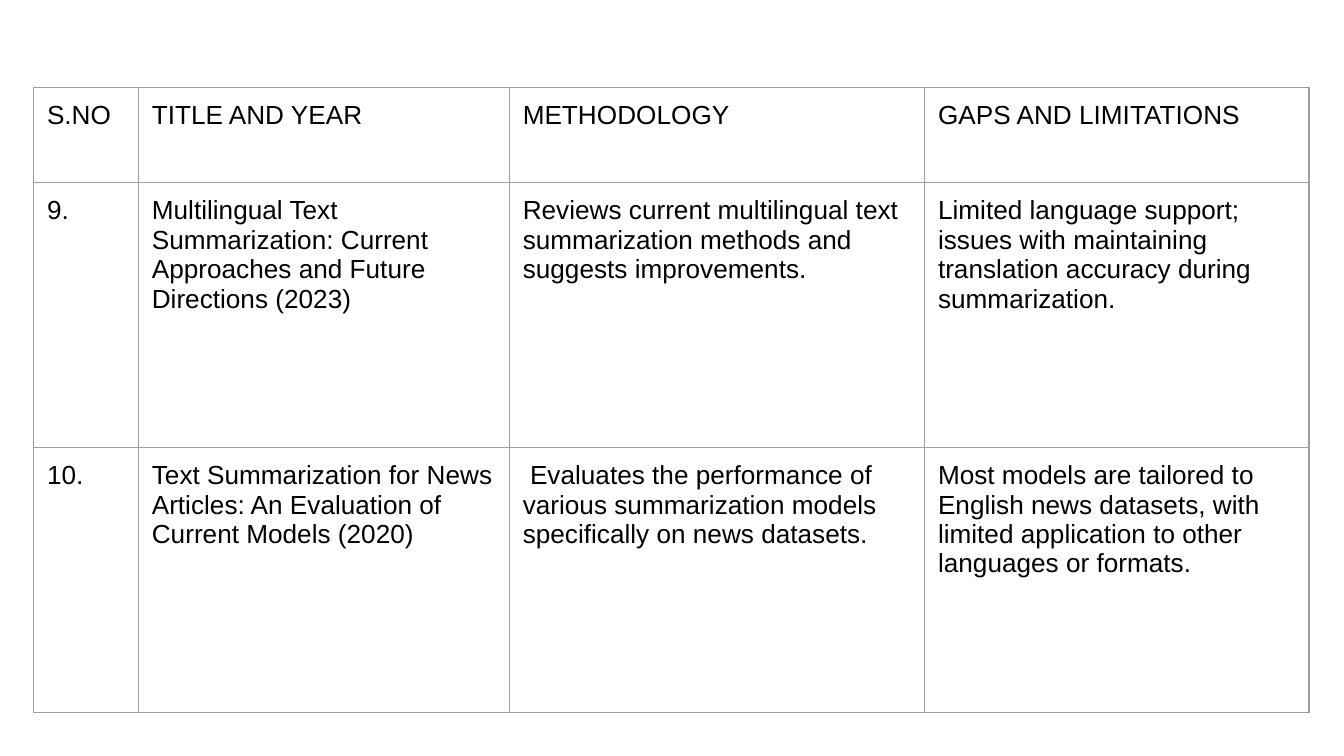
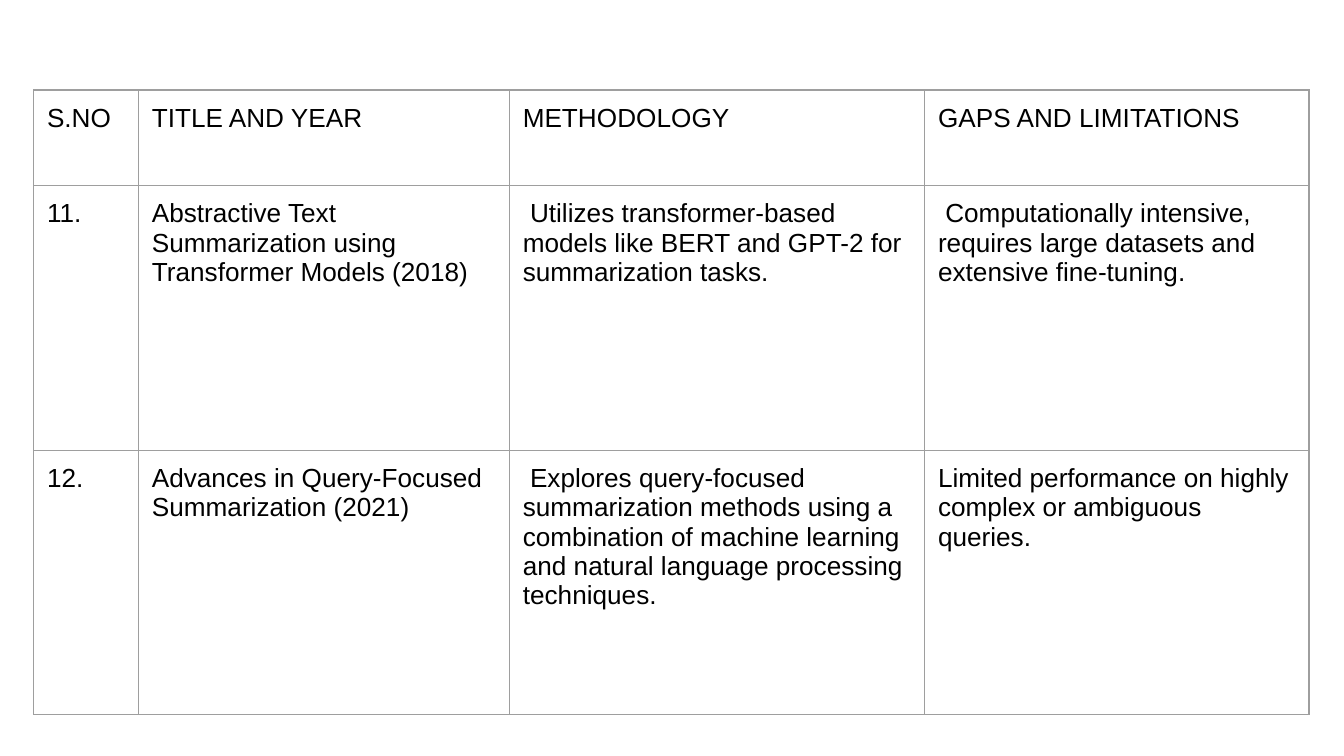
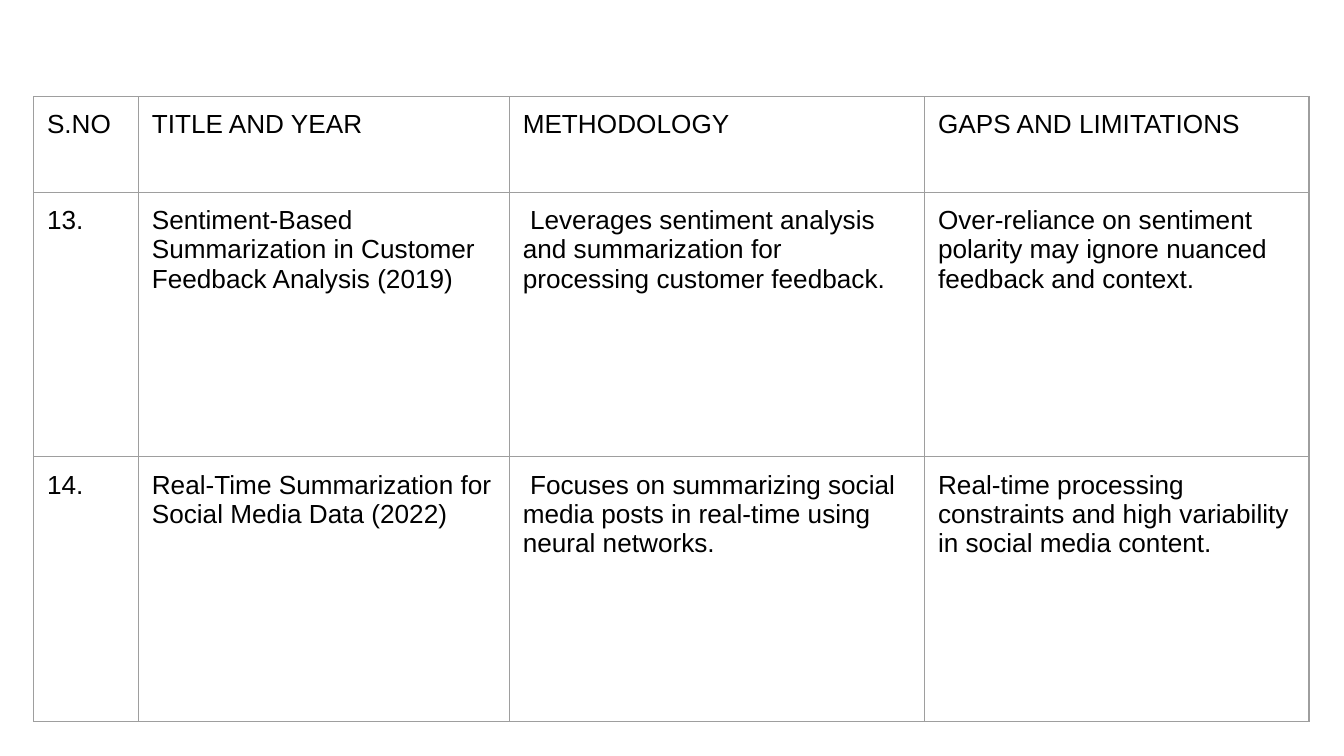
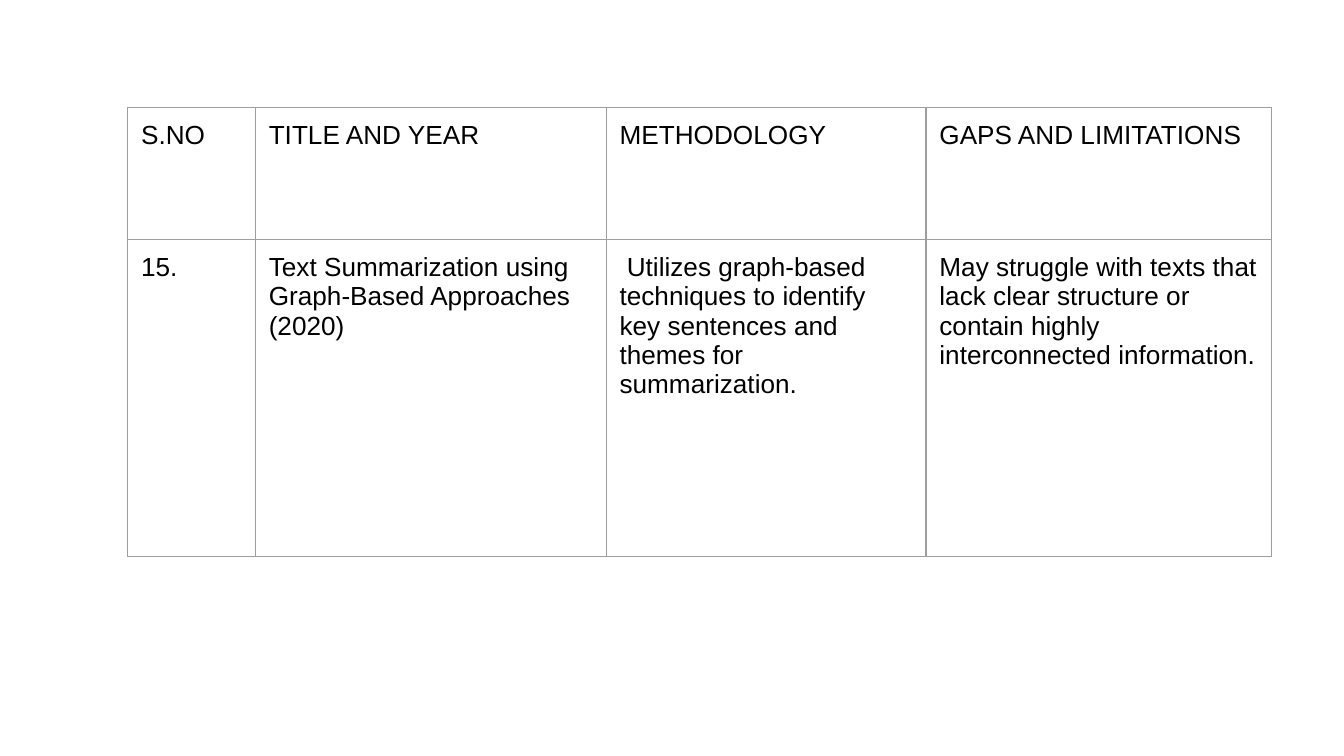
"""Build four slides of a literature survey on text summarization."""
from dataclasses import dataclass

from lxml.etree import SubElement
from pptx import Presentation
from pptx.dml.color import RGBColor
from pptx.oxml.ns import qn
from pptx.util import Inches, Pt


@dataclass(frozen=True)
class Theme:
    font: str = "Arial"
    size: float = 14
    ink: str = "000000"
    paper: str = "FFFFFF"
    rule: str = "9E9E9E"
    weight: float = 0.75
    inset: float = 0.1


HEADS = ("S.NO", "TITLE AND YEAR", "METHODOLOGY", "GAPS AND LIMITATIONS")
WIDE = (0.78, 2.76, 3.09, 2.86)
SLIM = (0.95, 2.61, 2.38, 2.57)
TALL = (0.71, 1.97)
SHORT = (0.98, 2.36)

PAGES = (
    (0.25, 0.65, WIDE, TALL, (
        ("9.",
         "Multilingual Text Summarization: Current Approaches and Future Directions (2023)",
         "Reviews current multilingual text summarization methods and suggests improvements.",
         "Limited language support; issues with maintaining translation accuracy during summarization."),
        ("10.",
         "Text Summarization for News Articles: An Evaluation of Current Models (2020)",
         " Evaluates the performance of various summarization models specifically on news datasets.",
         "Most models are tailored to English news datasets, with limited application to other languages or formats."),
    )),
    (0.25, 0.67, WIDE, TALL, (
        ("11.",
         "Abstractive Text Summarization using Transformer Models (2018)",
         " Utilizes transformer-based models like BERT and GPT-2 for summarization tasks.",
         " Computationally intensive, requires large datasets and extensive fine-tuning."),
        ("12.",
         "Advances in Query-Focused Summarization (2021)",
         " Explores query-focused summarization methods using a combination of machine learning "
         "and natural language processing techniques.",
         "Limited performance on highly complex or ambiguous queries."),
    )),
    (0.25, 0.72, WIDE, TALL, (
        ("13.",
         "Sentiment-Based Summarization in Customer Feedback Analysis (2019)",
         " Leverages sentiment analysis and summarization for processing customer feedback.",
         "Over-reliance on sentiment polarity may ignore nuanced feedback and context."),
        ("14.",
         "Real-Time Summarization for Social Media Data (2022)",
         " Focuses on summarizing social media posts in real-time using neural networks.",
         "Real-time processing constraints and high variability in social media content."),
    )),
    (0.95, 0.8, SLIM, SHORT, (
        ("15.",
         "Text Summarization using Graph-Based Approaches (2020)",
         " Utilizes graph-based techniques to identify key sentences and themes for summarization.",
         "May struggle with texts that lack clear structure or contain highly interconnected information."),
    )),
)


class Deck:
    def __init__(self, theme):
        self.theme = theme
        self.show = Presentation()
        self.show.slide_width = Inches(10)
        self.show.slide_height = Inches(10 * 9 / 16)
        self.slide = None

    def page(self):
        self.slide = self.show.slides.add_slide(self.show.slide_layouts[6])
        fill = self.slide.background.fill
        fill.solid()
        fill.fore_color.rgb = RGBColor.from_string(self.theme.paper)

    def table(self, left, top, widths, heights, papers):
        rows = (HEADS, *papers)
        head, body = heights
        highs = [head] + [body] * len(papers)
        grid = self.slide.shapes.add_table(
            len(rows), len(widths), Inches(left), Inches(top),
            Inches(sum(widths)), Inches(sum(highs))).table
        grid.first_row = grid.horz_banding = False
        for column, width in zip(grid.columns, widths):
            column.width = Inches(width)
        for line, high, texts in zip(grid.rows, highs, rows):
            line.height = Inches(high)
            for cell, text in zip(line.cells, texts):
                self.cell(cell, text)

    def cell(self, cell, text):
        self.edges(cell)
        cell.fill.background()
        inset = Inches(self.theme.inset)
        cell.margin_left = cell.margin_right = inset
        cell.margin_top = cell.margin_bottom = inset
        cell.text_frame.text = text
        font = cell.text_frame.paragraphs[0].runs[0].font
        font.name = self.theme.font
        font.size = Pt(self.theme.size)
        font.color.rgb = RGBColor.from_string(self.theme.ink)

    def edges(self, cell):
        props = cell._tc.get_or_add_tcPr()
        for side in "LRTB":
            edge = SubElement(props, qn(f"a:ln{side}"), w=str(Pt(self.theme.weight)))
            fill = SubElement(edge, qn("a:solidFill"))
            SubElement(fill, qn("a:srgbClr"), val=self.theme.rule)


def main():
    deck = Deck(Theme())
    for left, top, widths, heights, papers in PAGES:
        deck.page()
        deck.table(left, top, widths, heights, papers)
    deck.show.save("out.pptx")


if __name__ == "__main__":
    main()
